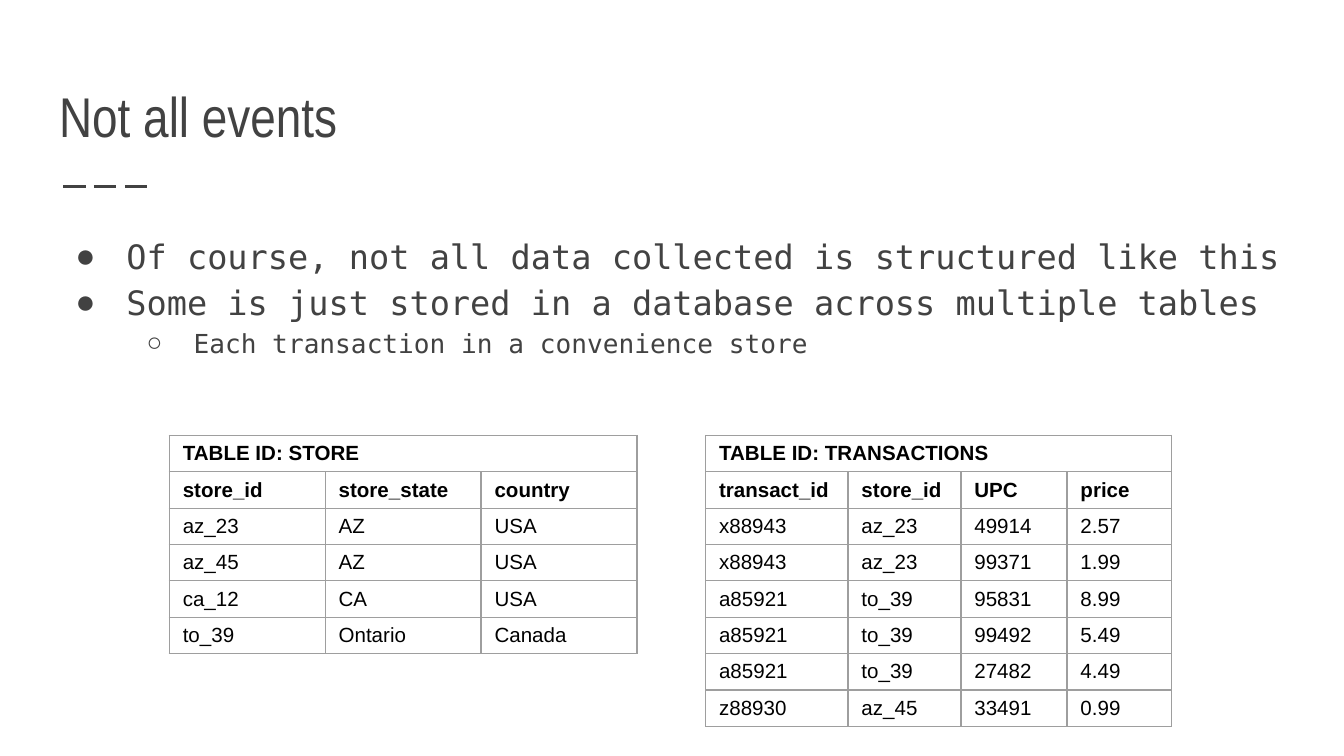
from lxml.etree import SubElement
from pptx import Presentation
from pptx.dml.color import RGBColor
from pptx.enum.dml import MSO_LINE_DASH_STYLE as Dash
from pptx.enum.shapes import MSO_CONNECTOR as Connector
from pptx.enum.text import MSO_ANCHOR as Anchor, MSO_AUTO_SIZE as AutoSize, PP_ALIGN as Align
from pptx.oxml import parse_xml
from pptx.oxml.ns import nsdecls, qn
from pptx.util import Inches, Pt

COLORS = {"text": "424242", "cell": "000000", "border": "9E9E9E"}
FONTS = {"title": "Arial Narrow", "body": "DejaVu Sans Mono", "bullet": "Arial", "table": "Arial"}

TITLE = "Not all events"
POINTS = [
    (0, "Of course, not all data collected is structured like this"),
    (0, "Some is just stored in a database across multiple tables"),
    (1, "Each transaction in a convenience store"),
]
LEVELS = [
    {"bullet": "●", "size": 18, "margin": 0.5, "hanging": 0.38},
    {"bullet": "○", "size": 14, "margin": 1, "hanging": 0.35},
]
TABLES = [
    {
        "heading": "TABLE ID: STORE",
        "left": 1.26,
        "columns": [1.16, 1.16, 1.16],
        "rows": [
            ("store_id", "store_state", "country"),
            ("az_23", "AZ", "USA"),
            ("az_45", "AZ", "USA"),
            ("ca_12", "CA", "USA"),
            ("to_39", "Ontario", "Canada"),
        ],
    },
    {
        "heading": "TABLE ID: TRANSACTIONS",
        "left": 5.25,
        "columns": [1.06, 0.84, 0.79, 0.78],
        "rows": [
            ("transact_id", "store_id", "UPC", "price"),
            ("x88943", "az_23", "49914", "2.57"),
            ("x88943", "az_23", "99371", "1.99"),
            ("a85921", "to_39", "95831", "8.99"),
            ("a85921", "to_39", "99492", "5.49"),
            ("a85921", "to_39", "27482", "4.49"),
            ("z88930", "az_45", "33491", "0.99"),
        ],
    },
]
WIDTH = 10
HEIGHT = WIDTH * 9 / 16
MARGIN = 0.34
TABLE_TOP, ROW_HEIGHT = 3.24, 0.24


def add_run(paragraph, text, font, size, color, bold=False):
    run = paragraph.add_run()
    run.text = text
    run.font.name = FONTS[font]
    run.font.size = Pt(size)
    run.font.bold = bold
    run.font.color.rgb = RGBColor.from_string(COLORS[color])


def place(holder, top, height, anchor):
    holder.left, holder.top = Inches(MARGIN), Inches(top)
    holder.width, holder.height = Inches(WIDTH - 2 * MARGIN), Inches(height)
    frame = holder.text_frame
    frame.word_wrap = True
    frame.auto_size = AutoSize.NONE
    frame.vertical_anchor = anchor
    frame.margin_left = frame.margin_right = Inches(0.1)
    frame.margin_top = frame.margin_bottom = Inches(0.1)
    return frame


def add_bullet(paragraph, level):
    props = paragraph._p.get_or_add_pPr()
    props.set("marL", str(Inches(level["margin"])))
    props.set("indent", str(-Inches(level["hanging"])))
    color = SubElement(props, qn("a:buClr"))
    SubElement(color, qn("a:srgbClr"), val=COLORS["text"])
    SubElement(props, qn("a:buFont"), typeface=FONTS["bullet"])
    SubElement(props, qn("a:buChar"), char=level["bullet"])


def format_cell(cell):
    cell.margin_left = cell.margin_right = Inches(0.1)
    cell.margin_top = cell.margin_bottom = Inches(0.05)
    cell.fill.background()
    props = cell._tc.get_or_add_tcPr()
    for position, side in enumerate("LRTB"):
        props.insert(position, parse_xml(
            f'<a:ln{side} {nsdecls("a")} w="{Pt(0.75)}"><a:solidFill>'
            f'<a:srgbClr val="{COLORS["border"]}"/></a:solidFill></a:ln{side}>'))


def add_data_table(slide, content):
    columns = content["columns"]
    rows = [(content["heading"],), *content["rows"]]
    table = slide.shapes.add_table(
        len(rows), len(columns), Inches(content["left"]), Inches(TABLE_TOP),
        Inches(sum(columns)), Inches(ROW_HEIGHT * len(rows))).table
    table.first_row = table.horz_banding = False
    for column, width in zip(table.columns, columns):
        column.width = Inches(width)
    for cell in table.iter_cells():
        format_cell(cell)
        cell.text_frame.paragraphs[0].font.size = Pt(11)
    table.cell(0, 0).merge(table.cell(0, len(columns) - 1))
    for row, values in enumerate(rows):
        for column, value in enumerate(values):
            paragraph = table.cell(row, column).text_frame.paragraphs[0]
            add_run(paragraph, value, "table", 11, "cell", bold=row < 2)


def main():
    deck = Presentation()
    deck.slide_width, deck.slide_height = Inches(WIDTH), Inches(HEIGHT)
    slide = deck.slides.add_slide(deck.slide_layouts[1])

    rule = slide.shapes.add_connector(
        Connector.STRAIGHT, Inches(0.47), Inches(1.39), Inches(1.14), Inches(1.39))
    rule.line.color.rgb = RGBColor.from_string(COLORS["text"])
    rule.line.width = Pt(1.5)
    rule.line.dash_style = Dash.LONG_DASH
    SubElement(rule._element.spPr, qn("a:effectLst"))

    heading = place(slide.shapes.title, 0.41, 0.8, Anchor.BOTTOM).paragraphs[0]
    heading.alignment = Align.LEFT
    add_run(heading, TITLE, "title", 30, "text")

    body = place(slide.placeholders[1], 1.61, 3.39, Anchor.TOP)
    for index, (depth, text) in enumerate(POINTS):
        paragraph = body.add_paragraph() if index else body.paragraphs[0]
        paragraph.level = depth
        paragraph.line_spacing = 1.15
        paragraph.space_before = Pt(0)
        add_bullet(paragraph, LEVELS[depth])
        add_run(paragraph, text, "body", LEVELS[depth]["size"], "text")

    for content in TABLES:
        add_data_table(slide, content)
    deck.save("out.pptx")


if __name__ == "__main__":
    main()
